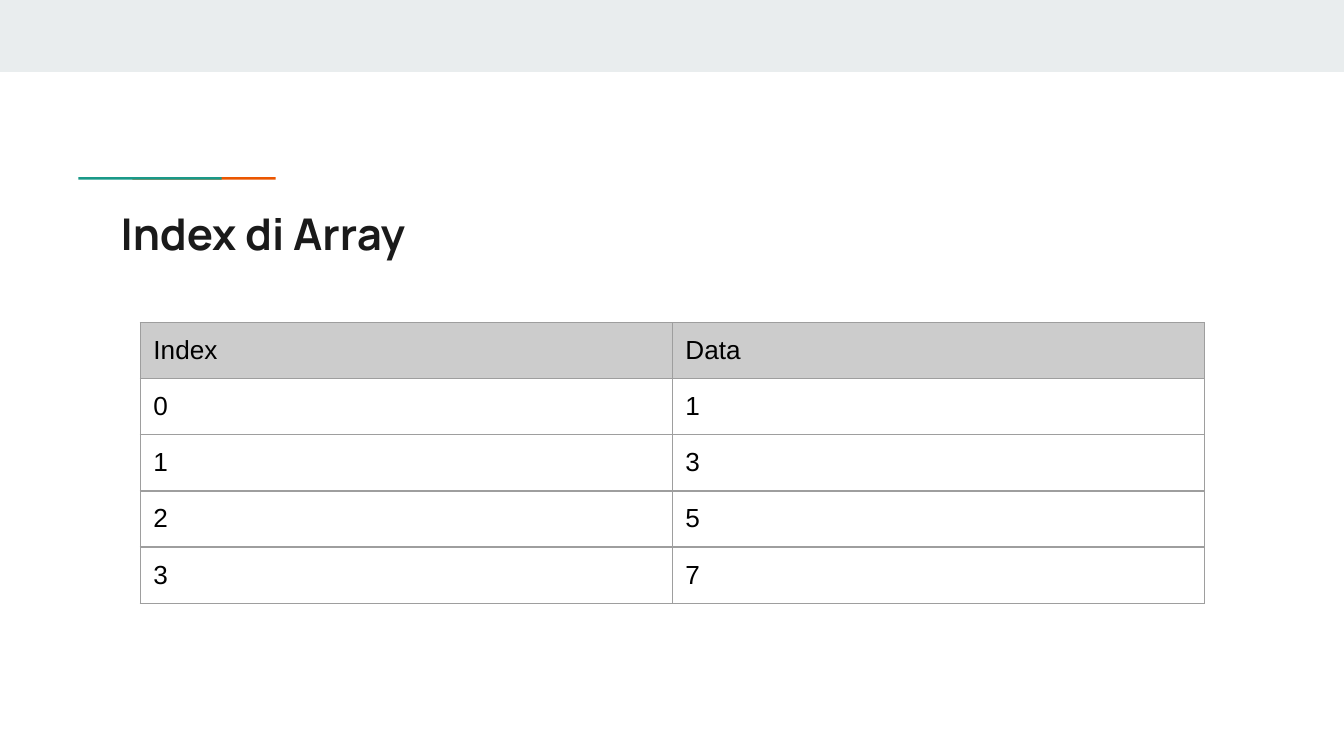
import pptx
import pptx.dml.color
import pptx.enum.shapes
import pptx.enum.text
import pptx.oxml
import pptx.oxml.ns
import pptx.util
from pptx.util import Cm

RGBColor = pptx.dml.color.RGBColor
BAND = RGBColor(0xE9, 0xED, 0xEE)
TEAL = RGBColor(0x1A, 0x99, 0x88)
ORANGE = RGBColor(0xEB, 0x56, 0x00)
TITLE = RGBColor(0x1A, 0x1A, 0x1A)
BLACK = RGBColor(0x00, 0x00, 0x00)
HEADER = RGBColor(0xCC, 0xCC, 0xCC)
BORDER = RGBColor(0x9E, 0x9E, 0x9E)
INSET = Cm(0.25)


def write_text(text_frame, text, font="Arial", size=14, color=BLACK, bold=False):
    paragraph = text_frame.paragraphs[0]
    paragraph.alignment = pptx.enum.text.PP_ALIGN.LEFT
    run = paragraph.add_run()
    run.text = text
    run.font.name = font
    run.font.size = pptx.util.Pt(size)
    run.font.color.rgb = color
    run.font.bold = bold


def add_borders(cell, color, width):
    properties = cell._tc.get_or_add_tcPr()
    for position, side in enumerate(("lnL", "lnR", "lnT", "lnB")):
        line = pptx.oxml.parse_xml(
            f'<a:{side} {pptx.oxml.ns.nsdecls("a")} w="{pptx.util.Pt(width)}">'
            f'<a:solidFill><a:srgbClr val="{color}"/></a:solidFill></a:{side}>'
        )
        properties.insert(position, line)


presentation = pptx.Presentation()
presentation.slide_width = Cm(25.4)
presentation.slide_height = Cm(14.29)
slide = presentation.slides.add_slide(presentation.slide_layouts[5])

# Top band and two-colour accent line, whose bars lie on their side in a group
accent = slide.shapes.add_group_shape()
bars = [
    (slide, 0, 0, 25.4, 1.36, 0, BAND),
    (accent, 3.17, 2.84, 0.05, 1.06, 270, ORANGE),
    (accent, 2.77, 2.84, 0.05, 1.06, 270, TEAL),
]
for parent, left, top, width, height, rotation, color in bars:
    bar = parent.shapes.add_shape(
        pptx.enum.shapes.MSO_SHAPE.RECTANGLE, Cm(left), Cm(top), Cm(width), Cm(height)
    )
    bar.rotation = rotation
    bar.shadow.inherit = False
    bar.fill.solid()
    bar.fill.fore_color.rgb = color
    bar.line.fill.background()
# Widening the group stretches the bars lengthwise
accent.width = Cm(1.15)

# Title
title = slide.shapes.title
title.left, title.top, title.width, title.height = Cm(2.03), Cm(3.66), Cm(21.36), Cm(1.5)
frame = title.text_frame
frame.margin_left = frame.margin_right = frame.margin_top = frame.margin_bottom = INSET
frame.vertical_anchor = pptx.enum.text.MSO_ANCHOR.TOP
frame.auto_size = pptx.enum.text.MSO_AUTO_SIZE.NONE
frame.word_wrap = True
write_text(frame, "Index di Array", font="Manrope", size=23.4, color=TITLE, bold=True)

# Index table
rows = [("Index", "Data"), ("0", "1"), ("1", "3"), ("2", "5"), ("3", "7")]
table = slide.shapes.add_table(
    len(rows), 2, Cm(2.65), Cm(6.1), Cm(20.11), Cm(1.06 * len(rows))
).table
table.horz_banding = False
for row_number, values in enumerate(rows):
    for column_number, value in enumerate(values):
        cell = table.cell(row_number, column_number)
        cell.margin_left = cell.margin_right = cell.margin_top = cell.margin_bottom = INSET
        if row_number == 0:
            cell.fill.solid()
            cell.fill.fore_color.rgb = HEADER
        else:
            cell.fill.background()
        add_borders(cell, BORDER, 0.75)
        write_text(cell.text_frame, value)

presentation.save("out.pptx")
